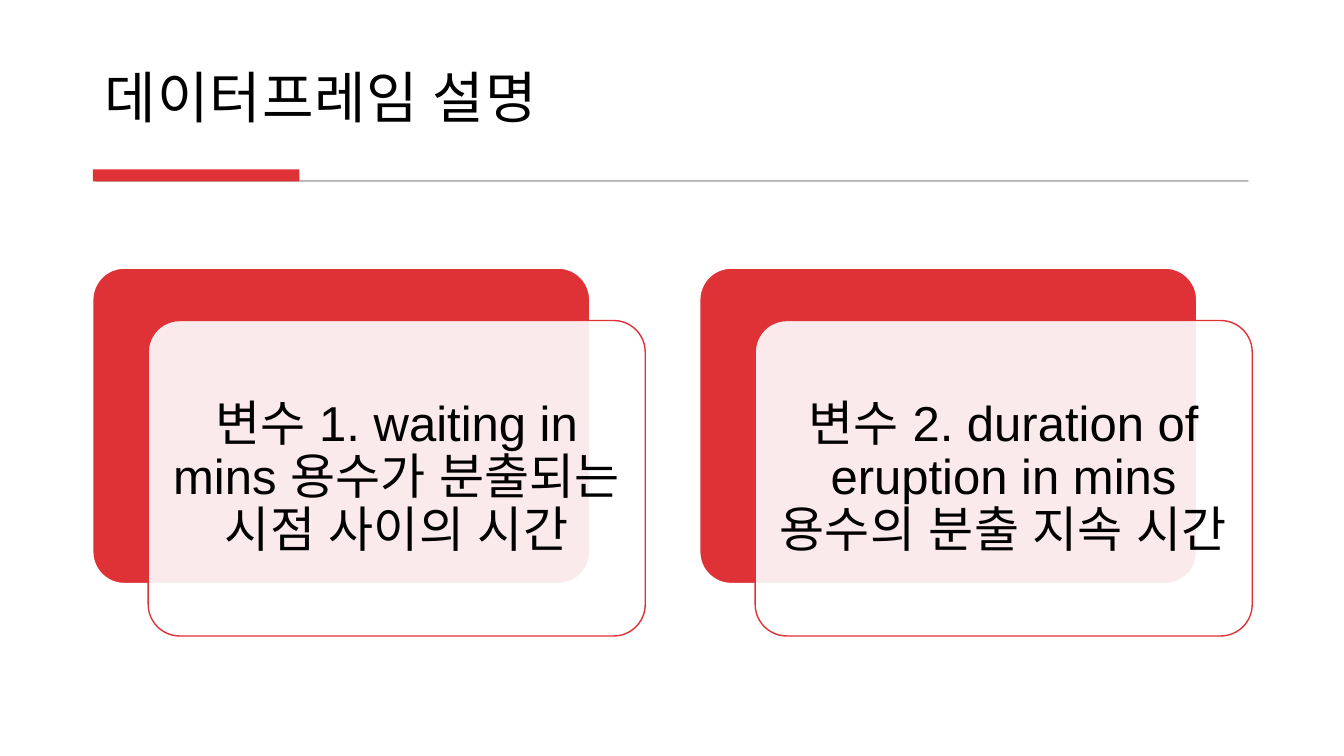
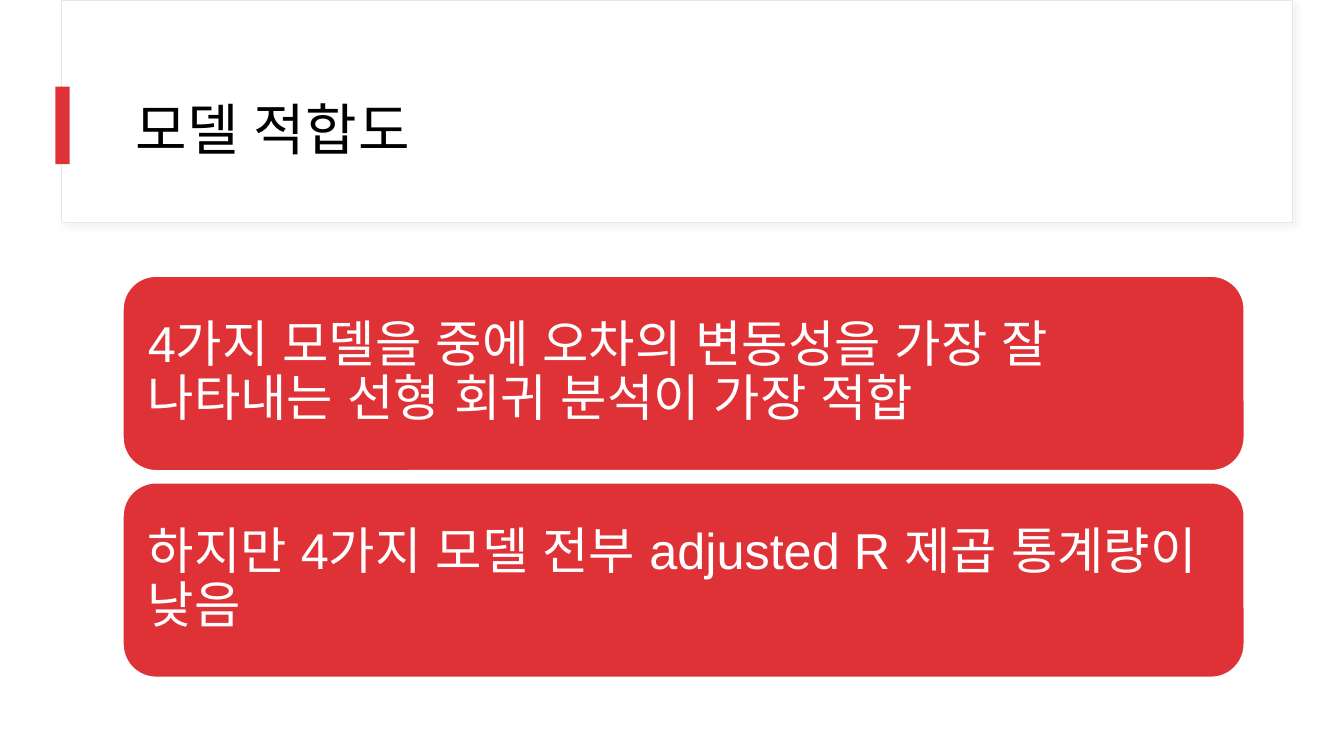
from dataclasses import dataclass

from lxml.etree import SubElement
from pptx import Presentation
from pptx.dml.color import RGBColor
from pptx.enum.shapes import MSO_SHAPE
from pptx.enum.text import MSO_ANCHOR, PP_ALIGN
from pptx.oxml.ns import qn
from pptx.util import Inches, Pt


@dataclass(frozen=True)
class Theme:
    red: str = "DE3237"
    white: str = "FFFFFF"
    black: str = "000000"
    rule: str = "595959"
    frame: str = "EFE3EB"
    shadow: str = "D9D9D9"
    title_font: str = "Noto Sans CJK KR"
    body_font: str = "Arial"
    title_size: int = 40
    card_size: int = 35
    bar_size: int = 36


class Deck:
    def __init__(self, theme):
        self.theme = theme
        self.prs = Presentation()
        self.prs.slide_width = Inches(13.33)
        self.prs.slide_height = Inches(7.5)
        self.s = None

    def new_slide(self):
        self.s = self.prs.slides.add_slide(self.prs.slide_layouts[5])

    @staticmethod
    def set_alpha(fill, percent):
        color = fill._xPr.find(qn("a:solidFill"))[0]
        SubElement(color, qn("a:alpha"), val=str(percent * 1000))

    @staticmethod
    def format_text(tf, size, color, font, align, spacing, anchor, insets):
        tf.word_wrap = True
        tf.vertical_anchor = anchor
        (tf.margin_left, tf.margin_top,
         tf.margin_right, tf.margin_bottom) = map(Inches, insets)
        for p in tf.paragraphs:
            p.alignment = align
            p.line_spacing = spacing
            for r in p.runs:
                r.font.size = Pt(size)
                r.font.name = font
                r.font.color.rgb = RGBColor.from_string(color)
                SubElement(r.font._element, qn("a:ea"), typeface=font)

    def title(self, text, left, top, width, height, anchor):
        sp = self.s.shapes.title
        sp.left, sp.top, sp.width, sp.height = map(Inches, (left, top, width, height))
        tf = sp.text_frame
        tf.text = text
        self.format_text(tf, self.theme.title_size, self.theme.black,
                         self.theme.title_font, PP_ALIGN.LEFT, 1.05, anchor,
                         (0.12, 0.12, 0.12, 0.1))
        for r in tf.paragraphs[0].runs:
            r.font._element.set("spc", "70")
        # Bring the title in front of the shapes drawn before it
        sp.element.getparent().append(sp.element)

    def box(self, left, top, width, height, fill, line=None, line_width=1,
            alpha=100, line_alpha=100, radius=None):
        """Add a rectangle, rounded when a radius ratio is given."""
        kind = MSO_SHAPE.RECTANGLE if radius is None else MSO_SHAPE.ROUNDED_RECTANGLE
        sp = self.s.shapes.add_shape(kind, *map(Inches, (left, top, width, height)))
        sp.shadow.inherit = False
        if radius is not None:
            sp.adjustments[0] = radius
        sp.fill.solid()
        sp.fill.fore_color.rgb = RGBColor.from_string(fill)
        if alpha < 100:
            self.set_alpha(sp.fill, alpha)
        if line is None:
            sp.line.fill.background()
        else:
            sp.line.color.rgb = RGBColor.from_string(line)
            sp.line.width = Pt(line_width)
            if line_alpha < 100:
                self.set_alpha(sp.line.fill, line_alpha)
        return sp

    def title_rule(self):
        """Add the thin grey rule and its red accent below the title."""
        self.box(0.95, 1.79, 11.43, 0.01, self.theme.rule, self.theme.rule,
                 0.75, alpha=30, line_alpha=30)
        self.box(0.92, 1.68, 2.05, 0.12, self.theme.red)

    def title_frame(self):
        """Add the shadowed title panel and its red side marker."""
        panel = self.box(0.61, 0, 12.21, 2.21, self.theme.white, self.theme.frame, 0.75)
        effects = panel.element.spPr.find(qn("a:effectLst"))
        shadow = SubElement(effects, qn("a:outerShdw"), blurRad=str(Pt(4)),
                            dist=str(Pt(3)), dir=str(45 * 60000))
        color = SubElement(shadow, qn("a:srgbClr"), val=self.theme.shadow)
        SubElement(color, qn("a:alpha"), val="30000")
        self.box(0.55, 0.86, 0.14, 0.77, self.theme.red)

    def body_text(self, sp, text, size, color, align):
        sp.text_frame.text = text
        self.format_text(sp.text_frame, size, color, self.theme.body_font,
                         align, 0.9, MSO_ANCHOR.MIDDLE, (0.15,) * 4)

    def layered_card(self, left, top, text):
        """Add a red card with a translucent text card offset over it."""
        width, height = 4.93, 3.13
        self.box(left, top, width, height, self.theme.red, self.theme.white, radius=0.1)
        front = self.box(left + 0.55, top + 0.52, width, height, self.theme.white,
                         self.theme.red, alpha=90, radius=0.1)
        self.body_text(front, text, self.theme.card_size, self.theme.black,
                       PP_ALIGN.CENTER)

    def bar(self, left, top, text):
        sp = self.box(left, top, 11.12, 1.93, self.theme.red, self.theme.white,
                      radius=0.17)
        self.body_text(sp, text, self.theme.bar_size, self.theme.white, PP_ALIGN.LEFT)


def variables_slide(deck):
    deck.new_slide()
    deck.title("데이터프레임 설명", 0.92, 0.28, 11.49, 1.11, MSO_ANCHOR.BOTTOM)
    deck.title_rule()
    variables = ("변수 1. waiting in mins 용수가 분출되는 시점 사이의 시간",
                 "변수 2. duration of eruption in mins 용수의 분출 지속 시간")
    for i, text in enumerate(variables):
        deck.layered_card(0.92 + i * 6.02, 2.66, text)


def model_fit_slide(deck):
    deck.new_slide()
    deck.title_frame()
    deck.title("모델 적합도", 1.22, 0.6, 11.12, 1.29, MSO_ANCHOR.MIDDLE)
    findings = ("4가지 모델을 중에 오차의 변동성을 가장 잘 나타내는 선형 회귀 분석이 가장 적합",
                "하지만 4가지 모델 전부 adjusted R 제곱 통계량이 낮음")
    for i, text in enumerate(findings):
        deck.bar(1.22, 2.74 + i * 2.05, text)


def main():
    deck = Deck(Theme())
    variables_slide(deck)
    model_fit_slide(deck)
    deck.prs.save("out.pptx")


if __name__ == "__main__":
    main()
